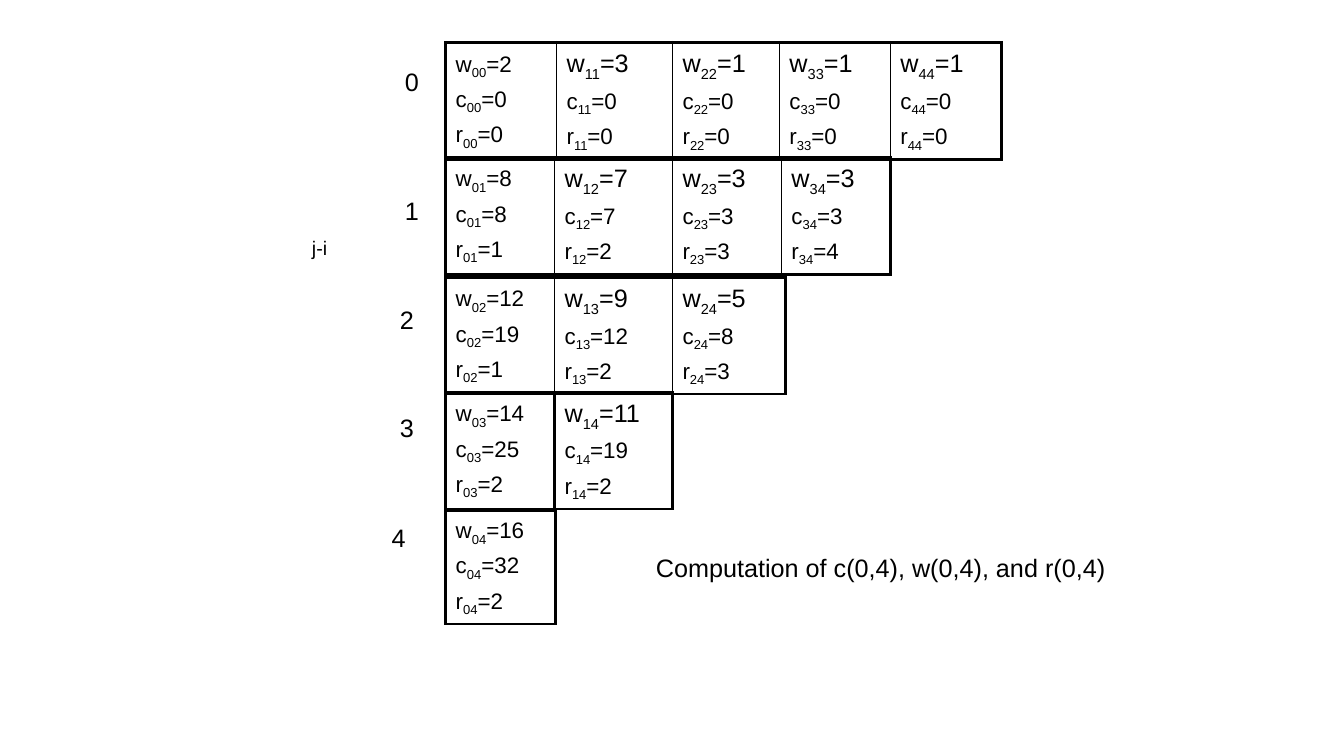
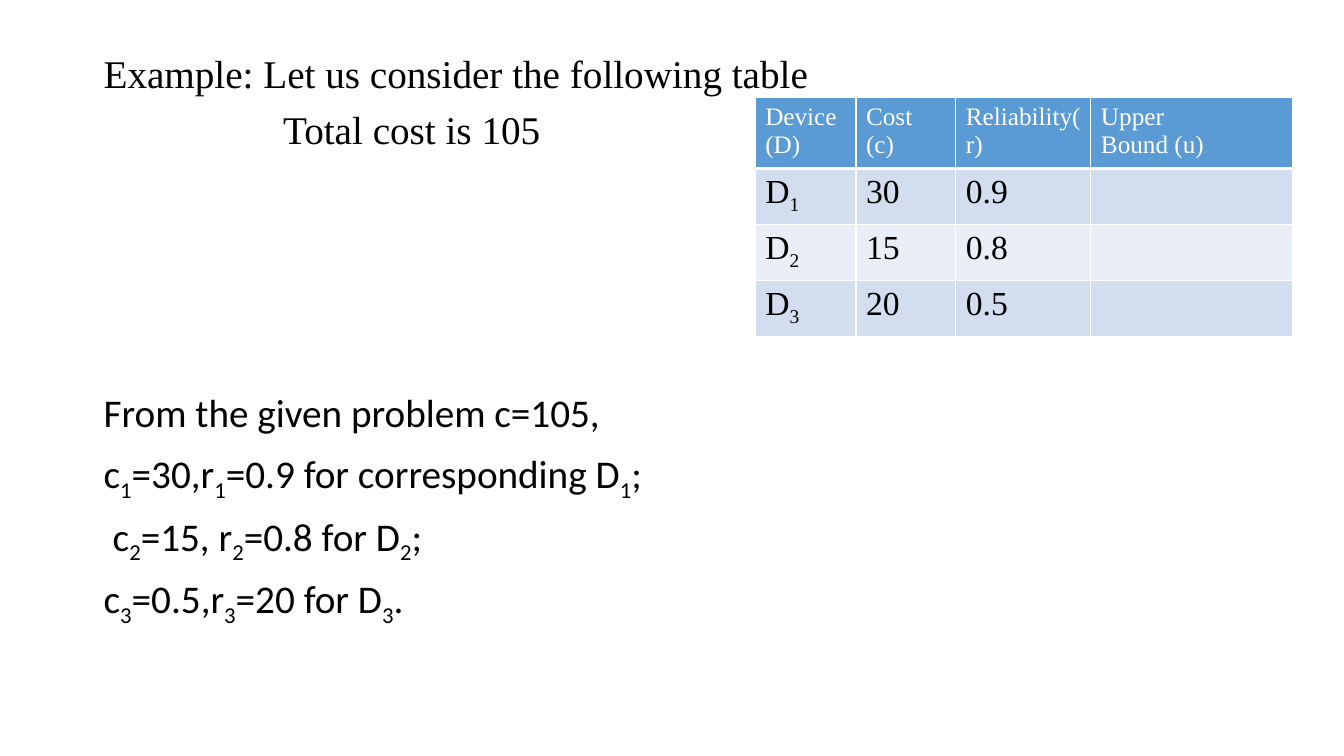
from lxml import etree
from pptx import Presentation
from pptx.dml.color import RGBColor
from pptx.enum.shapes import MSO_SHAPE
from pptx.enum.text import MSO_ANCHOR, PP_ALIGN
from pptx.oxml.ns import qn
from pptx.util import Inches, Pt

RECT = MSO_SHAPE.RECTANGLE
MIDDLE, TOP = MSO_ANCHOR.MIDDLE, MSO_ANCHOR.TOP
CENTER = PP_ALIGN.CENTER

COLORS = {"text": "000000", "paper": "FFFFFF", "header": "5B9BD5",
          "band": "D2DEEF", "band_light": "EAEFF7"}
SANS, BODY, SERIF = "Arial", "Calibri", "Times New Roman"
THICK, THIN = 2.25, 1


def rgb(name):
    return RGBColor.from_string(COLORS[name])


def write(tf, lines, font, sizes, color="text", align=None, spacing=None,
          before=0, indents=None):
    """Fill a text frame; text between underscores is subscript."""
    for i, line in enumerate(lines):
        p = tf.paragraphs[0] if i == 0 else tf.add_paragraph()
        if indents:
            p._p.get_or_add_pPr().set("marL", str(Inches(indents[i])))
        if spacing:
            p.line_spacing = spacing
        if i:
            p.space_before = Pt(before)
        p.alignment = align
        p.font.name, p.font.size = font, Pt(sizes[i])
        p.font.color.rgb = rgb(color)
        for n, part in enumerate(line.split("_")):
            if part:
                r = p.add_run()
                r.text = part
                if n % 2:
                    r.font._element.set("baseline", "-25000")


def set_borders(cell, color, left, right, top, bottom):
    tcPr = cell._tc.get_or_add_tcPr()
    for side, width in zip("LRTB", (left, right, top, bottom)):
        ln = etree.SubElement(tcPr, qn(f"a:ln{side}"), w=str(Pt(width)))
        fill = etree.SubElement(ln, qn("a:solidFill"))
        etree.SubElement(fill, qn("a:srgbClr"), val=COLORS[color])


def add_grid(s, x, y, widths, heights):
    frame = s.shapes.add_table(len(heights), len(widths), Inches(x), Inches(y),
                               Inches(sum(widths)), Inches(sum(heights)))
    table = frame.table
    table.first_row = table.horz_banding = False
    for col, width in zip(table.columns, widths):
        col.width = Inches(width)
    for row, height in zip(table.rows, heights):
        row.height = Inches(height)
    return table


def add_label(s, x, y, w, h, text, size=18):
    sp = s.shapes.add_shape(RECT, Inches(x), Inches(y), Inches(w), Inches(h))
    sp.shadow.inherit = False
    sp.fill.solid()
    sp.fill.fore_color.rgb = rgb("paper")
    sp.line.color.rgb = rgb("paper")
    sp.line.width = Pt(0.75)
    tf = sp.text_frame
    tf.word_wrap = False
    tf.vertical_anchor = MIDDLE
    write(tf, [text], SANS, [size], align=CENTER)


def add_text(s, x, y, w, h, lines, font, indents):
    tf = s.shapes.add_textbox(Inches(x), Inches(y), Inches(w), Inches(h)).text_frame
    tf.word_wrap = True
    tf.vertical_anchor = TOP
    write(tf, lines, font, [28] * len(lines), spacing=0.9, before=10,
          indents=indents)


# Steps of the computation: top, height, column widths, (w, c, r) for each i
STEPS = [
    (0.42, 1.16, [1.1, 1.15, 1.06, 1.1, 1.1],
     [(2, 0, 0), (3, 0, 0), (1, 0, 0), (1, 0, 0), (1, 0, 0)]),
    (1.56, 1.16, [1.08, 1.17, 1.08, 1.08],
     [(8, 8, 1), (7, 7, 2), (3, 3, 3), (3, 3, 4)]),
    (2.75, 1.16, [1.08, 1.17, 1.12], [(12, 19, 1), (9, 12, 2), (5, 8, 3)]),
    (3.89, 1.16, [1.08, 1.17], [(14, 25, 2), (11, 19, 2)]),
    (5.07, 1.12, [1.09], [(16, 32, 2)]),
]
STEP_LABELS = [(3.92, 0.64), (3.92, 1.92), (3.87, 3), (3.87, 4.08), (3.79, 5.17)]


def add_step(s, x, y, height, diff, widths, values):
    """One row of cells holding w, c and r for j - i = diff."""
    table = add_grid(s, x, y, widths, [height])
    last = len(values) - 1
    inner = THIN if last > 1 else THICK
    for i, triple in enumerate(values):
        cell = table.cell(0, i)
        set_borders(cell, "text", inner if i else THICK,
                    inner if i < last else THICK, THICK, THICK)
        cell.fill.background()
        cell.vertical_anchor = MIDDLE
        lines = [f"{name}_{i}{i + diff}_={v}" for name, v in zip("wcr", triple)]
        write(cell.text_frame, lines, SANS, [18 if i else 16, 16, 16],
              spacing=1.04, before=4)


def computation_slide(prs):
    s = prs.slides.add_slide(prs.slide_layouts[6])
    for diff, (y, height, widths, values) in enumerate(STEPS):
        add_step(s, 4.42, y, height, diff, widths, values)
    # Row numbers, axis name and caption
    for diff, (x, y) in enumerate(STEP_LABELS):
        add_label(s, x, y, 0.33, 0.33, str(diff))
    add_label(s, 2.67, 2.08, 1, 0.75, "j-i", 14)
    add_label(s, 5.65, 5.17, 6.17, 0.92, "Computation of c(0,4), w(0,4), and r(0,4)")


DEVICES = [
    ["Device\n(D)", "Cost (c)", "Reliability(r)", "Upper\nBound (u)"],
    ["D_1_", "30", "0.9", ""],
    ["D_2_", "15", "0.8", ""],
    ["D_3_", "20", "0.5", ""],
]


def add_devices(s, x, y):
    table = add_grid(s, x, y, [1, 0.99, 1.34, 2], [0.64] + [0.52] * 3)
    for n, row in enumerate(DEVICES):
        band = "band" if n % 2 else "band_light"
        for m, text in enumerate(row):
            cell = table.cell(n, m)
            set_borders(cell, "paper", 1, 1, 3 if n == 1 else 1, 1 if n else 3)
            cell.fill.solid()
            cell.fill.fore_color.rgb = rgb(band if n else "header")
            lines = text.split("\n")
            write(cell.text_frame, lines, SERIF, [24 if n else 18] * len(lines),
                  "text" if n else "paper")


def example_slide(prs):
    s = prs.slides.add_slide(prs.slide_layouts[6])
    # Problem statement
    add_text(s, 0.93, 0.49, 12.03, 1.2,
             ["Example: Let us consider the following table",
              "Total cost is 105"], SERIF, [0, 1.78])
    # Values read from the table
    add_text(s, 0.93, 3.86, 12.03, 2.6,
             ["From the given problem c=105,",
              "c_1_=30,r_1_=0.9 for corresponding D_1_;",
              "c_2_=15, r_2_=0.8 for D_2_;",
              "c_3_=0.5,r_3_=20 for D_3_."], BODY, [0, 0, 0.09, 0])
    add_devices(s, 7.49, 0.97)


def main():
    prs = Presentation()
    prs.slide_width, prs.slide_height = Inches(13.33), Inches(7.5)
    computation_slide(prs)
    example_slide(prs)
    prs.save("out.pptx")


if __name__ == "__main__":
    main()
